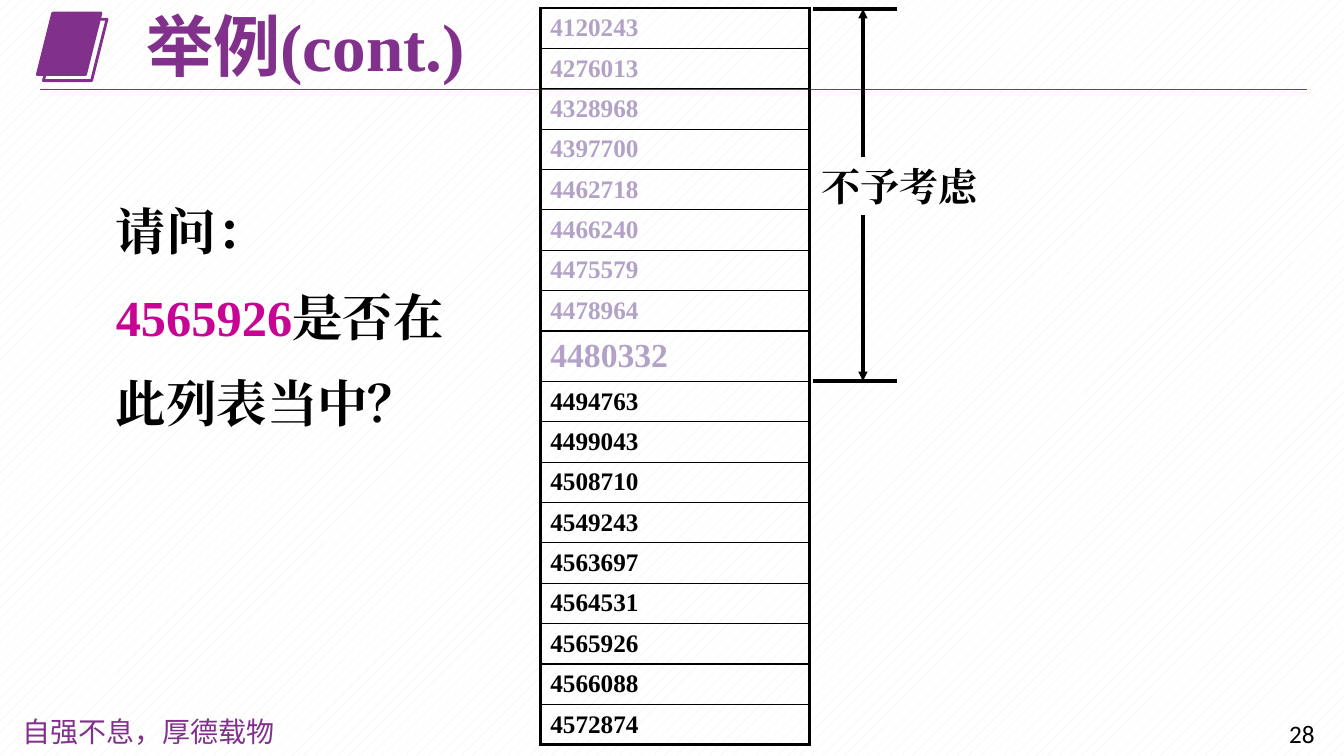
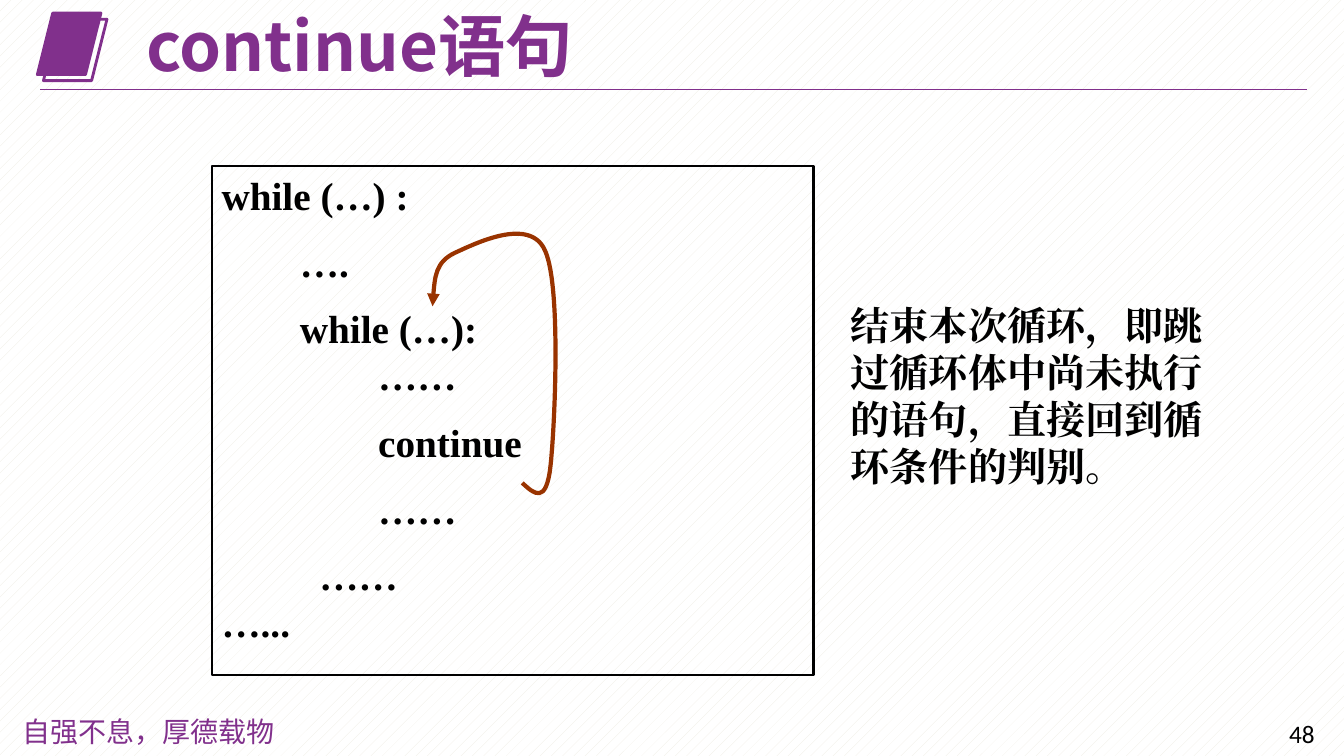
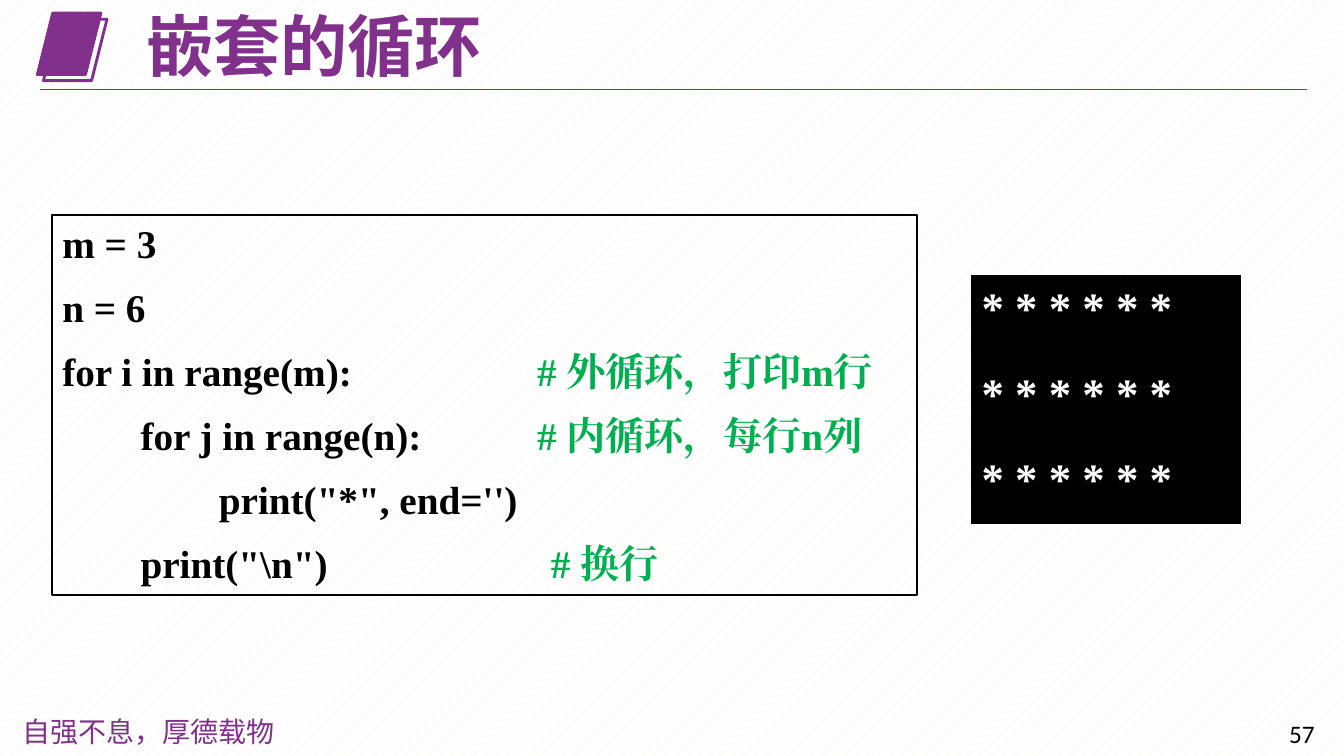
import dataclasses
import pptx
import pptx.util
import pptx.dml.color
import pptx.enum.dml
import pptx.enum.shapes
import pptx.enum.text
import pptx.oxml.ns
import lxml.etree

Pt = pptx.util.Pt
qn = pptx.oxml.ns.qn
KIND = pptx.enum.shapes.MSO_SHAPE
ANCHOR = pptx.enum.text.MSO_ANCHOR


class Theme:
    """Colours, fonts and type sizes of the deck."""
    plum, ink, pale = "81308C", "000000", "B3A2C7"
    pink, green, rust, white, cream = "C80495", "00B050", "993300", "FFFFFF", "EEECE1"
    serif, sans, cjk, plain = "Times New Roman", "Noto Sans CJK SC", "Noto Sans CJK JP", "Calibri"
    title = {"size": Pt(48), "bold": True, "name": sans, "ink": plum}
    motto = {"size": Pt(20), "name": cjk, "ink": plum}
    page = {"size": Pt(18), "name": plain, "ink": ink}
    body = {"size": Pt(28), "bold": True, "name": serif, "ink": ink}
    ask = {**body, "size": Pt(36)}
    cell = {**body, "size": Pt(18)}
    mid = {**body, "size": Pt(24)}
    stars = {**body, "size": Pt(32), "ink": white}


@dataclasses.dataclass
class Box:
    """A rectangle on a slide, in EMU."""
    x: float
    y: float
    w: float
    h: float

    def at(self, x, y):
        """Return the point at the given percent of the box."""
        return round(self.x + self.w * x / 100), round(self.y + self.h * y / 100)

    def cut(self, x, y, w, h):
        """Return the inner box given in percent of this one."""
        return Box(*self.at(x, y), round(self.w * w / 100), round(self.h * h / 100))

    def rect(self):
        """Return left, top, width and height."""
        return self.x, self.y, self.w, self.h


def rgb(ink):
    """Return a colour object for a hex value."""
    return pptx.dml.color.RGBColor.from_string(ink)


def add(root, tag, **attrs):
    """Append a drawing element with attributes."""
    return lxml.etree.SubElement(root, qn("a:" + tag), attrs)


def style(run, form):
    """Apply a dict of format values to a run."""
    font = run.font
    font.color.rgb = rgb(form["ink"])
    for key, value in form.items():
        if key != "ink":
            setattr(font, key, value)
    add(run._r.get_or_add_rPr(), "ea", typeface=form["name"])


def write(frame, lines, form, gap=0, anchor=ANCHOR.TOP, wrap=True):
    """Fill a frame with lines, each a string or a list of runs with changes."""
    frame.word_wrap, frame.vertical_anchor = wrap, anchor
    for i, line in enumerate(lines):
        para = frame.paragraphs[0] if i == 0 else frame.add_paragraph()
        para.alignment = pptx.enum.text.PP_ALIGN.LEFT
        if i:
            para.space_before = Pt(gap[i] if isinstance(gap, list) else gap)
        for text, diff in [(line, {})] if isinstance(line, str) else line:
            run = para.add_run()
            run.text = text
            style(run, {**form, **diff})


def label(slide, box, lines, form, **how):
    """Add a text box."""
    shape = slide.shapes.add_textbox(*box.rect())
    write(shape.text_frame, lines, form, **how)
    return shape


def shape(slide, box, kind, line, width, fill=None):
    """Add a flat preset shape."""
    item = slide.shapes.add_shape(kind, *box.rect())
    item.shadow.inherit = False
    item.line.color.rgb, item.line.width = rgb(line), Pt(width)
    if fill:
        item.fill.solid()
        item.fill.fore_color.rgb = rgb(fill)
    else:
        item.fill.background()
    return item


def tip(item):
    """Put an arrowhead at the end of a line."""
    add(item.line._get_or_add_ln(), "tailEnd", type="triangle")


def rule(slide, start, end, ink, width, arrow=False):
    """Draw a straight line, with an arrowhead if asked."""
    item = slide.shapes.add_connector(pptx.enum.shapes.MSO_CONNECTOR.STRAIGHT, *start, *end)
    item.line.color.rgb, item.line.width = rgb(ink), Pt(width)
    if arrow:
        tip(item)
    add(item._element.spPr, "effectLst")


def header(slide, box, title):
    """Draw the emblem, the rule and the title."""
    for x, y, fill in ((2.78, 14.44, Theme.plum), (3.23, 21.11, None)):
        shape(slide, box.cut(x, y, 4.73, 67.78), KIND.PARALLELOGRAM, Theme.plum, 2, fill)
    rule(slide, box.at(3, 98.89), box.at(97.28, 98.89), Theme.plum, 0.75)
    area = label(slide, box.cut(10.13, 12.22, 55.05, 84.44), [title], Theme.title, anchor=ANCHOR.MIDDLE)
    area.text_frame.paragraphs[0].line_spacing = 0.9


def footer(slide, box, page):
    """Write the motto and the page number."""
    label(slide, box.cut(0.9, 0, 20.85, 95), ["自强不息，厚德载物"], Theme.motto)
    label(slide, box.cut(95.18, 8.7, 4.58, 87), [page], Theme.page)


def start(deck, title, page):
    """Add a slide with header and footer, and return it with its box."""
    slide = deck.slides.add_slide(deck.slide_layouts[6])
    box = Box(0, 0, deck.slide_width, deck.slide_height)
    footer(slide, box.cut(0, 93.87, 100, 6.13), page)
    header(slide, box.cut(0, 0, 100, 12), title)
    return slide, box


def edges(cell, first, last):
    """Draw the borders of a list cell."""
    props = cell._tc.get_or_add_tcPr()
    sides = {"lnL": 2.25, "lnR": 2.25, "lnT": 2.25 if first else 1, "lnB": 2.25 if last else 1}
    for i, (tag, width) in enumerate(sides.items()):
        line = lxml.etree.Element(qn("a:" + tag), w=str(Pt(width)))
        add(add(line, "solidFill"), "srgbClr", val=Theme.ink)
        props.insert(i, line)


def roll(slide, box, items, mid):
    """Draw a one-column list, pale down to its larger middle row."""
    count = len(items)
    table = slide.shapes.add_table(count, 1, *box.rect()).table
    table.first_row = table.horz_banding = False
    for i, item in enumerate(items):
        table.rows[i].height = round(box.h / (count + 0.25) * (1.25 if i == mid else 1))
        cell = table.cell(i, 0)
        cell.fill.background()
        form = Theme.mid if i == mid else Theme.cell
        ink = Theme.pale if i <= mid else Theme.ink
        write(cell.text_frame, [item], {**form, "ink": ink})
        cell.vertical_anchor = ANCHOR.MIDDLE
        edges(cell, i == 0, i == count - 1)


def span(slide, box, text):
    """Draw a labelled measure between two ticks."""
    for y, near in ((0, 39.84), (100, 55.28)):
        rule(slide, box.at(0.57, y), box.at(48.3, y), Theme.ink, 2.25)
        rule(slide, box.at(29, near), box.at(29, y), Theme.ink, 2.25, True)
    label(slide, box.cut(0, 39.84, 100, 15.45), [text], Theme.body, wrap=False)


def code(slide, box, lines, gap, stops=None):
    """Draw a framed listing, with tab stops by line in percent of its width."""
    item = shape(slide, box, KIND.RECTANGLE, Theme.ink, 1.5)
    write(item.text_frame, lines, Theme.body, gap)
    for i, stop in (stops or {}).items():
        props = item.text_frame.paragraphs[i]._p.get_or_add_pPr()
        add(add(props, "tabLst"), "tab", pos=str(round(box.w * stop / 100)), algn="l")


def curve(slide, box, points):
    """Draw an arrow of cubic curves through points in percent of the box."""
    spots = [box.at(*point) for point in points]
    pen = slide.shapes.build_freeform(*spots[0])
    pen.add_line_segments(spots[1:], close=False)
    item = pen.convert_to_shape()
    item.shadow.inherit = False
    item.fill.background()
    item.line.color.rgb, item.line.width = rgb(Theme.rust), Pt(3)
    tip(item)
    legs = list(item._element.iter(qn("a:lnTo")))
    route = legs[0].getparent()
    for i in range(0, len(legs), 3):
        bend = add(route, "cubicBezTo")
        for leg in legs[i:i + 3]:
            bend.append(leg[0])
            route.remove(leg)


def search(deck):
    """Build the slide on halving a list."""
    slide, box = start(deck, [("举例", {}), ("(cont.)", {"name": Theme.serif})], "28")
    items = """4120243 4276013 4328968 4397700 4462718 4466240 4475579 4478964 4480332
        4494763 4499043 4508710 4549243 4563697 4564531 4565926 4566088 4572874""".split()
    roll(slide, box.cut(40.2, 1.07, 20.03, 97.33), items, 8)
    ask = ["请问：", [("4565926", {"ink": Theme.pink}), ("是否在", {})], "此列表当中？"]
    label(slide, box.cut(7.88, 25.87, 25.95, 33.33), ask, Theme.ask, gap=18)
    span(slide, box.cut(60.38, 1.2, 13.2, 49.2), "不予考虑")


def skip(deck):
    """Build the slide on the continue statement."""
    slide, box = start(deck, "continue语句", "48")
    area = box.cut(15.75, 22, 44.78, 67.33)
    pad = " " * 8
    lines = ["while (…) :", pad + "….", pad + "while (…):", pad * 2 + "……",
             pad * 2 + "continue", pad * 2 + "……", pad + "  ……", "…..."]
    code(slide, area, lines, [0, 14, 14, 0, 14, 14, 14, 0])
    curve(slide, area, [(51.6, 62.2), (53.6, 64.4), (55.6, 66.5), (56.3, 58.8), (57, 51.3),
                        (58.1, 23.6), (55.4, 16.6), (52.9, 9.7), (43.6, 15.3), (40.4, 17),
                        (37.2, 18.8), (36.9, 23.2), (36.7, 27.5)])
    note = "结束本次循环，即跳过循环体中尚未执行的语句，直接回到循环条件的判别。"
    label(slide, box.cut(62.55, 39.2, 27.9, 26.53), [note], Theme.body)


def nest(deck):
    """Build the slide on nested loops."""
    slide, box = start(deck, "嵌套的循环", "57")
    note = {"ink": Theme.green}
    lines = ["m = 3", "n = 6",
             [("for i in range(m):\t", {}), ("# 外循环，打印m行", note)],
             [("        for j in range(n):\t", {}), ("# 内循环，每行n列", note)],
             "                print(\"*\", end='')",
             [("        print(\"\\n\")\t", {}), ("# 换行", note)]]
    code(slide, box.cut(3.9, 28.4, 64.35, 50.27), lines, 12, {2: 54.9, 3: 54.9, 5: 56.5})
    screen = shape(slide, box.cut(72.3, 36.4, 20.03, 32.8), KIND.RECTANGLE, Theme.ink, 0.75, Theme.ink)
    write(screen.text_frame, ["* * * * * *"] * 3, Theme.stars, 22.4)


def main():
    """Build and save the deck."""
    deck = pptx.Presentation()
    deck.slide_width, deck.slide_height = pptx.util.Inches(13.33), pptx.util.Inches(7.5)
    back = deck.slide_master.background.fill
    back.patterned()
    back.pattern = pptx.enum.dml.MSO_PATTERN.PERCENT_10
    back.fore_color.rgb, back.back_color.rgb = rgb(Theme.cream), rgb(Theme.white)
    for build in (search, skip, nest):
        build(deck)
    deck.save("out.pptx")


if __name__ == "__main__":
    main()
